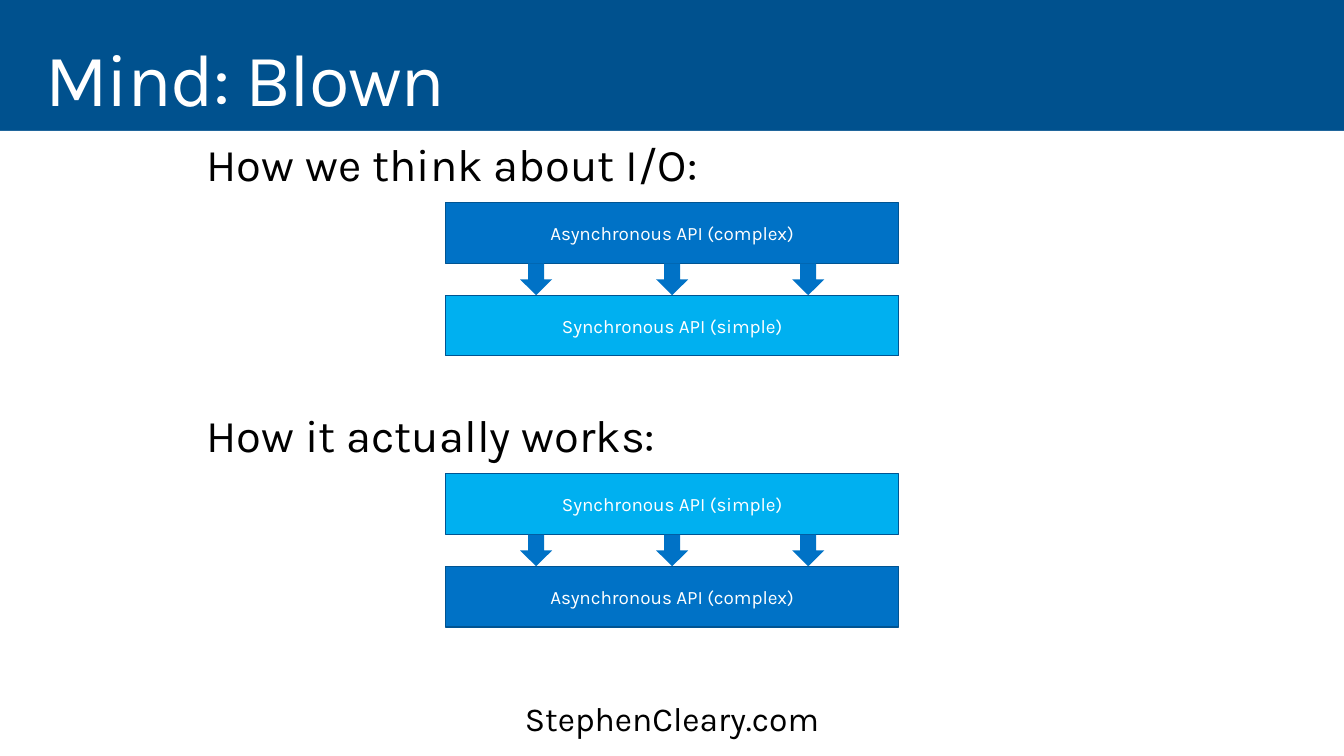
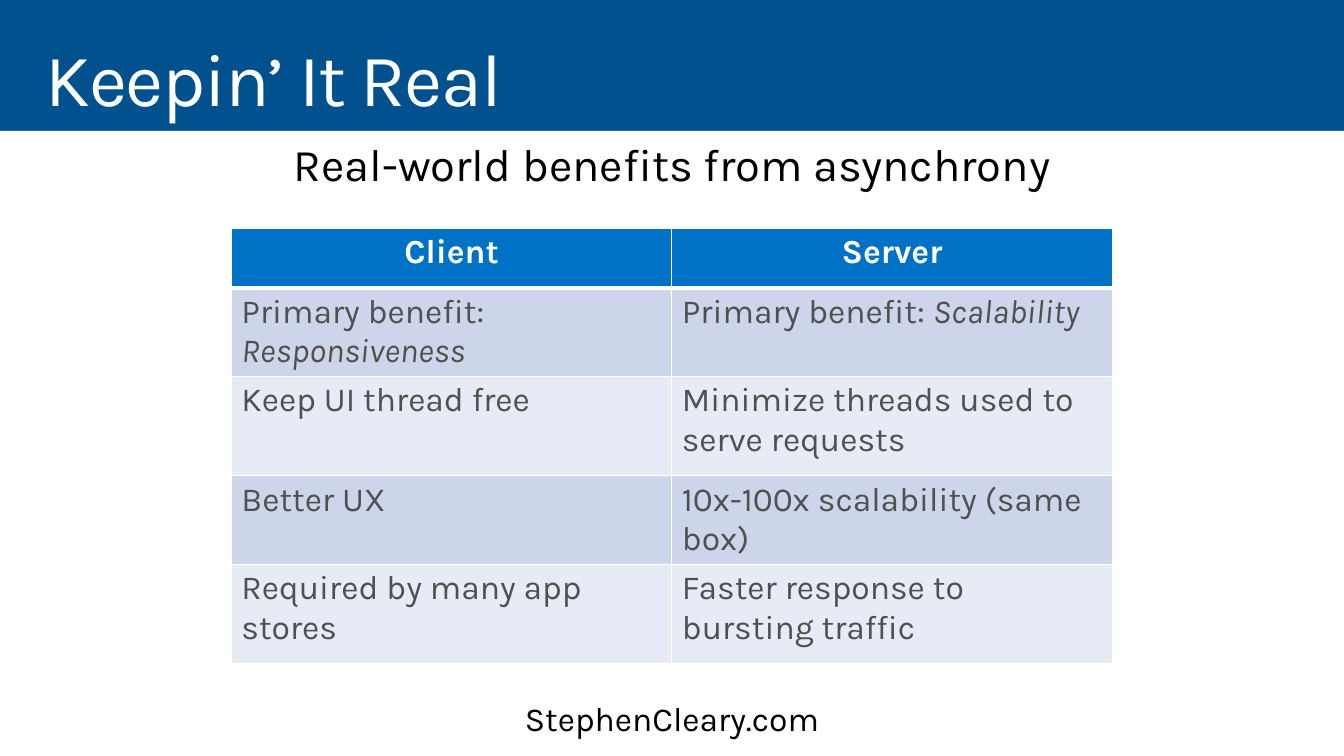
from dataclasses import dataclass

from lxml.etree import SubElement
from pptx import Presentation
from pptx.dml.color import RGBColor
from pptx.enum.shapes import MSO_SHAPE as Preset
from pptx.enum.text import MSO_ANCHOR as Anchor, MSO_AUTO_SIZE as AutoSize, PP_ALIGN as Align
from pptx.oxml.ns import qn
from pptx.util import Cm, Pt


@dataclass(frozen=True)
class Theme:
    font: str = "Karla"
    navy: str = "00518E"
    outline: str = "005492"
    blue: str = "0072C6"
    sky: str = "00B0F0"
    white: str = "FFFFFF"
    black: str = "000000"
    grey: str = "505050"
    row_dark: str = "CCD5EA"
    row_light: str = "E7EBF5"
    title_size: float = 52.9
    heading_size: float = 32.4
    body_size: float = 24
    label_size: float = 13.5


@dataclass(frozen=True)
class Box:
    left: float
    top: float
    width: float
    height: float

    def lengths(self):
        return [Cm(value) for value in (self.left, self.top, self.width, self.height)]


THEME = Theme()
PAGE = Box(0, 0, 33.87, 19.05)
TITLE = Box(0.74, 0.81, 32.39, 2.49)
PANEL = Box(0, 3.3, 33.87, 15.75)
FOOTER = Box(0, 17.3, 33.87, 1.75)
HEADING = Box(4.8, 3.33, 24.28, 1.75)
TABLE = Box(5.83, 5.75, 22.2, 10.96)

ASYNC_LAYER = ("Asynchronous API (complex)", THEME.blue)
SYNC_LAYER = ("Synchronous API (simple)", THEME.sky)
BENEFITS = [
    (1.5, [[("Client", False)], [("Server", False)]]),
    (2.22, [[("Primary benefit: ", False), ("Responsiveness", True)],
            [("Primary benefit: ", False), ("Scalability", True)]]),
    (2.51, [[("Keep UI thread free", False)],
            [("Minimize threads used to serve requests", False)]]),
    (2.22, [[("Better UX", False)], [("10x-100x scalability (same box)", False)]]),
    (2.51, [[("Required by many app stores", False)],
            [("Faster response to bursting traffic", False)]]),
]


def rgb(color):
    return RGBColor.from_string(color)


def apply_format(target, values):
    for name, value in values.items():
        setattr(target, name, value)


def format_font(font, size, color, **values):
    apply_format(font, {"name": THEME.font, "size": Pt(size), **values})
    font.color.rgb = rgb(color)


def write_text(frame, text, size, color, paragraph_format=None, **frame_format):
    apply_format(frame, {"word_wrap": True, "auto_size": AutoSize.NONE, **frame_format})
    paragraph = frame.paragraphs[0]
    apply_format(paragraph, paragraph_format or {})
    run = paragraph.add_run()
    run.text = text
    format_font(run.font, size, color)
    return run


def insets(horizontal, vertical):
    return {"margin_left": Cm(horizontal), "margin_right": Cm(horizontal),
            "margin_top": Cm(vertical), "margin_bottom": Cm(vertical),
            "vertical_anchor": Anchor.TOP}


def add_filled_shape(slide, preset, box, fill, outline=None):
    shape = slide.shapes.add_shape(preset, *box.lengths())
    shape.shadow.inherit = False
    shape.fill.solid()
    shape.fill.fore_color.rgb = rgb(fill)
    if outline:
        shape.line.color.rgb = rgb(outline)
        shape.line.width = Pt(0.85)
    else:
        shape.line.fill.background()
    return shape


def add_text_box(slide, box, text, size, align, inset):
    text_box = slide.shapes.add_textbox(*box.lengths())
    write_text(text_box.text_frame, text, size, THEME.black,
               {"alignment": align, "line_spacing": 0.9}, **insets(*inset))


def add_heading(slide, box, text, align=Align.LEFT):
    add_text_box(slide, box, text, THEME.heading_size, align, (0.41, 0.25))


def add_titled_slide(presentation, title_text):
    slide = presentation.slides.add_slide(presentation.slide_layouts[5])
    add_filled_shape(slide, Preset.RECTANGLE, PANEL, THEME.white)
    add_text_box(slide, FOOTER, "StephenCleary.com", THEME.body_size, Align.CENTER, (0.51, 0.41))
    title = slide.shapes.title
    apply_format(title, dict(zip(("left", "top", "width", "height"), TITLE.lengths())))
    run = write_text(title.text_frame, title_text, THEME.title_size, THEME.white,
                     {"alignment": Align.LEFT, "line_spacing": 0.9}, **insets(0.41, 0.25))
    run.font._element.set("spc", "-100")
    return slide


def add_layer_stack(slide, box, layers):
    layer_height, gap, arrow_width = 1.53, 0.8, 0.81
    for index, (label, fill) in enumerate(layers):
        layer_box = Box(box.left, box.top + index * (layer_height + gap), box.width, layer_height)
        layer = add_filled_shape(slide, Preset.RECTANGLE, layer_box, fill, THEME.outline)
        write_text(layer.text_frame, label, THEME.label_size, THEME.white,
                   {"alignment": Align.CENTER}, vertical_anchor=Anchor.MIDDLE)
    for share in (0.2, 0.5, 0.8):
        left = box.left + share * box.width - arrow_width / 2
        arrow_box = Box(left, box.top + layer_height, arrow_width, gap)
        add_filled_shape(slide, Preset.DOWN_ARROW, arrow_box, THEME.blue)


def add_model(slide, box, heading, layers):
    add_heading(slide, Box(box.left, box.top, box.width, HEADING.height), heading)
    stack_width = 11.43
    stack_left = box.left + (box.width - stack_width) / 2
    add_layer_stack(slide, Box(stack_left, box.top + 1.78, stack_width, box.height - 1.78), layers)


def add_cell_borders(cell, widths):
    properties = cell._tc.get_or_add_tcPr()
    for side, width in widths.items():
        line = SubElement(properties, qn(f"a:ln{side}"), w=str(Pt(width)))
        fill = SubElement(line, qn("a:solidFill"))
        SubElement(fill, qn("a:srgbClr"), val=THEME.white)


def fill_cell(cell, runs, row_index):
    is_header = row_index == 0
    add_cell_borders(cell, {"L": 1, "R": 1, "T": 3 if row_index == 1 else 1,
                            "B": 3 if is_header else 1})
    band = THEME.row_dark if row_index % 2 else THEME.row_light
    cell.fill.solid()
    cell.fill.fore_color.rgb = rgb(THEME.blue if is_header else band)
    paragraph = cell.text_frame.paragraphs[0]
    paragraph.alignment = Align.CENTER if is_header else Align.LEFT
    for text, italic in runs:
        run = paragraph.add_run()
        run.text = text
        format_font(run.font, THEME.body_size, THEME.white if is_header else THEME.grey,
                    bold=is_header, italic=italic)


def add_benefits_table(slide, box, rows):
    column_count = len(rows[0][1])
    table = slide.shapes.add_table(len(rows), column_count, *box.lengths()).table
    table.horz_banding = False
    for column in table.columns:
        column.width = Cm(box.width / column_count)
    for row_index, (height, cells) in enumerate(rows):
        table.rows[row_index].height = Cm(height)
        for column_index, runs in enumerate(cells):
            fill_cell(table.cell(row_index, column_index), runs, row_index)


def build_models_slide(presentation):
    slide = add_titled_slide(presentation, "Mind: Blown")
    models = [("How we think about I/O:", [ASYNC_LAYER, SYNC_LAYER]),
              ("How it actually works:", [SYNC_LAYER, ASYNC_LAYER])]
    for index, (heading, layers) in enumerate(models):
        box = Box(HEADING.left, HEADING.top + index * 6.83, HEADING.width, 5.64)
        add_model(slide, box, heading, layers)


def build_benefits_slide(presentation):
    slide = add_titled_slide(presentation, "Keepin’ It Real")
    add_heading(slide, HEADING, "Real-world benefits from asynchrony", Align.CENTER)
    add_benefits_table(slide, TABLE, BENEFITS)


def main():
    presentation = Presentation()
    apply_format(presentation, {"slide_width": Cm(PAGE.width), "slide_height": Cm(PAGE.height)})
    background = presentation.slide_master.background.fill
    background.solid()
    background.fore_color.rgb = rgb(THEME.navy)
    build_models_slide(presentation)
    build_benefits_slide(presentation)
    presentation.save("out.pptx")


if __name__ == "__main__":
    main()
